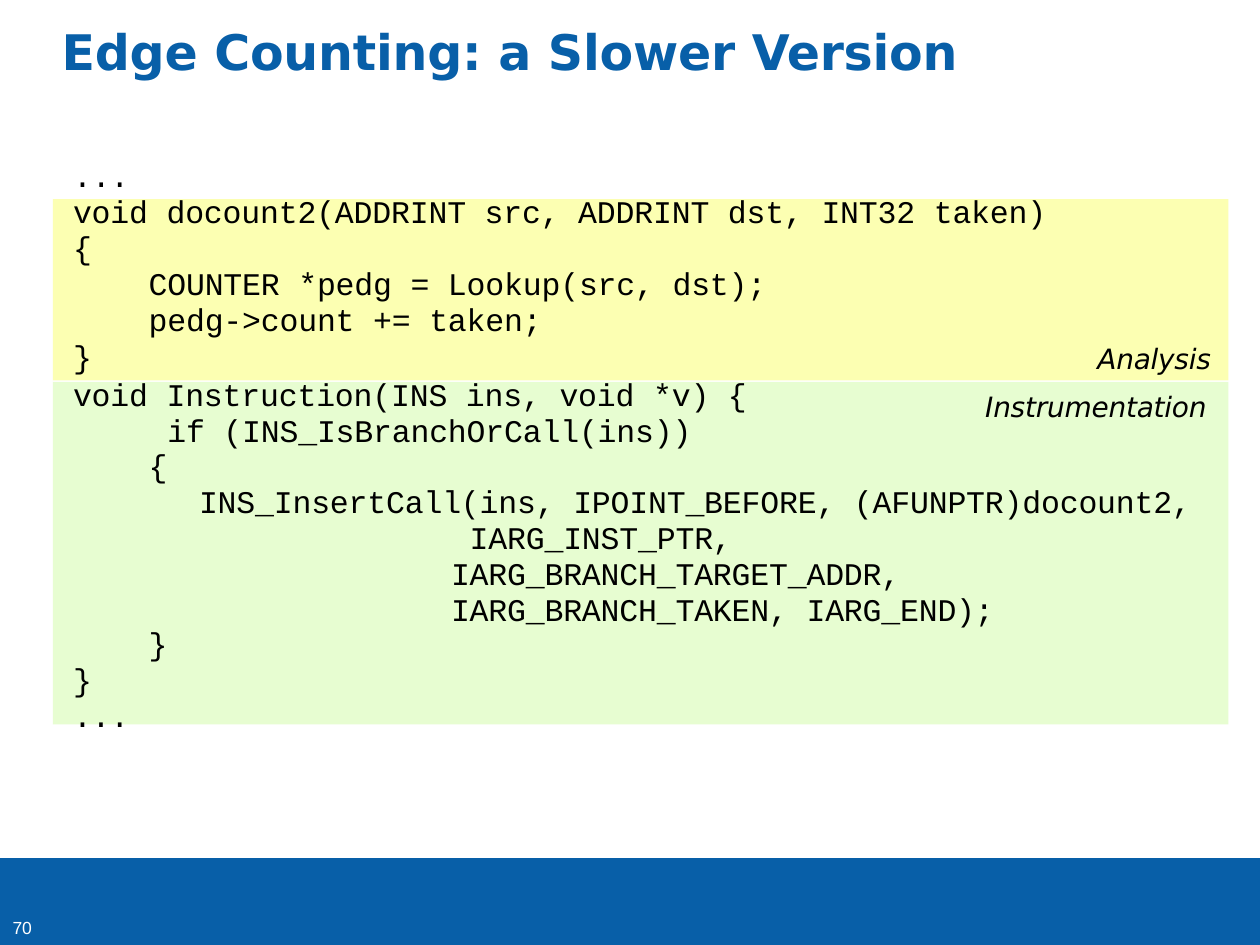
from dataclasses import dataclass

from lxml import etree
from pptx import Presentation, util as u
from pptx.dml.color import RGBColor
from pptx.enum import shapes, text
from pptx.oxml.ns import qn

COLORS = {"blue": "085FA8", "green": "D1FCA4", "yellow": "FCFF9F",
          "black": "000000", "white": "FFFFFF"}
# The slide is a grid of 100 columns by 75 rows, with square cells
COLUMNS, ROWS = 100, 75
CELL = u.Inches(0.1)
TRACKING = "-10"  # hundredths of a point


@dataclass
class Area:
    left: float
    top: float
    width: float
    height: float

    def lengths(self) -> list[int]:
        return [round(value * CELL) for value in
                (self.left, self.top, self.width, self.height)]


@dataclass
class Style:
    font: str
    size: float
    color: str = "black"
    bold: bool = False
    italic: bool = False


@dataclass
class Line:
    """A paragraph; a vertical tab in its words is a line break."""
    words: str
    margin: float = 0.1  # in columns
    hanging: float = 0
    spacing: float | None = None  # in points
    before: float = 0


@dataclass
class TextBlock:
    area: Area
    style: Style
    lines: list[Line]
    inset_top: float = 0.1  # in rows


@dataclass
class Band:
    area: Area
    color: str
    opacity: int = 100


TITLE = Style("DejaVu Sans", 28, "blue", bold=True)
CODE = Style("Courier New", 18)
LABEL = Style("DejaVu Sans", 16, italic=True)
NUMBER = Style("Arial", 10, "white")
INDENT = 6.1  # one code level, in columns

BANDS = [
    Band(Area(0, 68.1, COLUMNS, ROWS - 68.1), "blue"),
    Band(Area(4.2, 30.3, 93.3, 27.2), "green", 50),
    Band(Area(4.2, 15.8, 93.3, 14.4), "yellow", 80),
]

BLOCKS = [
    TextBlock(Area(4.8, 1.6, 80, 4.9), TITLE,
              [Line("Edge Counting: a Slower Version", before=0.9)]),
    TextBlock(Area(5.7, 12.3, 4.8, 3.3), CODE, [Line("...", before=1)]),
    TextBlock(Area(0.7, 72.8, 2.1, 1.8), NUMBER, [Line("70", 0.3)], 0),
    # Analysis routine
    TextBlock(Area(5.7, 15.2, 80, 14.7), CODE, [
        Line("void docount2(ADDRINT src, ADDRINT dst, INT32 taken)",
             spacing=21.1, before=1),
        Line("{", spacing=20.5),
        Line("COUNTER *pedg = Lookup(src, dst);", INDENT, spacing=20.6),
        Line("pedg->count += taken;", INDENT, spacing=20.6),
        Line("}", spacing=21.1),
    ]),
    # Instrumentation routine
    TextBlock(Area(5.7, 29.5, 60, 9), CODE, [
        Line("void Instruction(INS ins, void *v) {\v if (INS_IsBranchOrCall(ins))",
             INDENT, hanging=6, spacing=20.5, before=2.6),
        Line("{", INDENT, spacing=20.1),
    ], 0.4),
    TextBlock(Area(5.7, 38, 91, 17.5), CODE, [
        Line("INS_InsertCall(ins, IPOINT_BEFORE, (AFUNPTR)docount2,\v"
             " IARG_INST_PTR,\vIARG_BRANCH_TARGET_ADDR,\v"
             "IARG_BRANCH_TAKEN, IARG_END);",
             30.1, hanging=20, spacing=20.5, before=2.6),
        Line("}", INDENT, spacing=19.5),
        Line("}", spacing=20.5),
        Line("...", spacing=21.1),
    ], 0.4),
    # Labels of the two bands
    TextBlock(Area(78.1, 30.8, 18.3, 2.9), LABEL,
              [Line("Instrumentation", before=0.9)]),
    TextBlock(Area(87, 27, 9.4, 2.9), LABEL, [Line("Analysis", before=0.9)]),
]


def draw_band(page, band: Band) -> None:
    box = page.shapes.add_shape(shapes.MSO_SHAPE.RECTANGLE, *band.area.lengths())
    box.shadow.inherit = False
    box.line.fill.background()
    box.fill.solid()
    box.fill.fore_color.rgb = RGBColor.from_string(COLORS[band.color])
    if band.opacity < 100:
        color = box.fill._xPr.find(".//" + qn("a:srgbClr"))
        etree.SubElement(color, qn("a:alpha"), val=str(band.opacity * 1000))


def write_line(para, line: Line, style: Style) -> None:
    para.text = line.words
    para.space_before = u.Pt(line.before)
    if line.spacing:
        para.line_spacing = u.Pt(line.spacing)
    properties = para._p.get_or_add_pPr()
    properties.set("marL", str(round(line.margin * CELL)))
    properties.set("indent", str(round(-line.hanging * CELL)))
    font = para.font
    font.name, font.size = style.font, u.Pt(style.size)
    font.bold, font.italic = style.bold, style.italic
    font.color.rgb = RGBColor.from_string(COLORS[style.color])
    for span in para.runs:
        span._r.get_or_add_rPr().set("spc", TRACKING)


def draw_text(page, block: TextBlock) -> None:
    frame = page.shapes.add_textbox(*block.area.lengths()).text_frame
    frame.word_wrap = True
    frame.auto_size = text.MSO_AUTO_SIZE.SHAPE_TO_FIT_TEXT
    frame.margin_left = frame.margin_right = frame.margin_bottom = 0
    frame.margin_top = round(block.inset_top * CELL)
    for index, line in enumerate(block.lines):
        para = frame.add_paragraph() if index else frame.paragraphs[0]
        write_line(para, line, block.style)


def main() -> None:
    deck = Presentation()
    deck.slide_width, deck.slide_height = COLUMNS * CELL, ROWS * CELL
    page = deck.slides.add_slide(deck.slide_layouts[6])
    for band in BANDS:
        draw_band(page, band)
    for block in BLOCKS:
        draw_text(page, block)
    deck.save("out.pptx")


if __name__ == "__main__":
    main()
